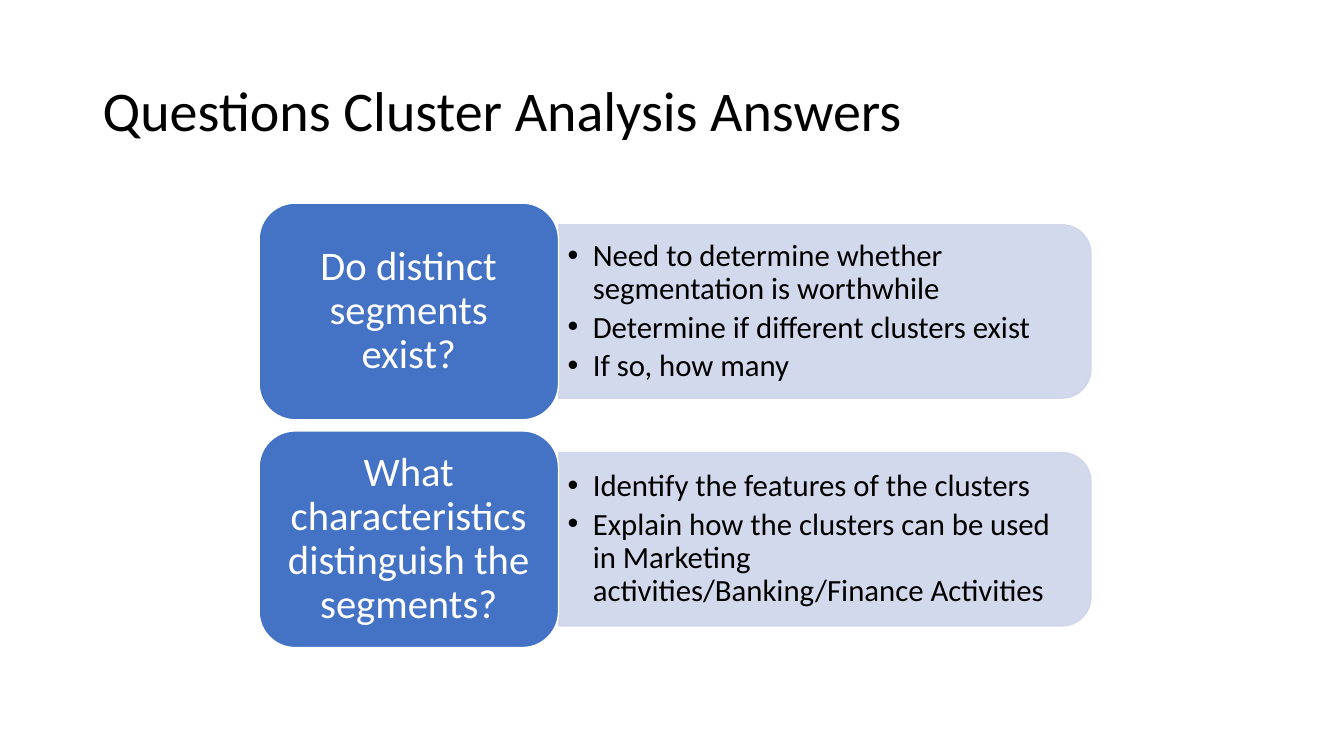
from dataclasses import dataclass

from lxml import etree
from pptx import Presentation
from pptx.dml.color import RGBColor
from pptx.enum.shapes import MSO_SHAPE
from pptx.enum.text import MSO_ANCHOR, PP_ALIGN
from pptx.oxml.ns import qn
from pptx.util import Inches, Pt

ROUNDED = MSO_SHAPE.ROUNDED_RECTANGLE
ROUNDED_TOP = MSO_SHAPE.ROUND_2_SAME_RECTANGLE
MIDDLE = MSO_ANCHOR.MIDDLE
CENTER = PP_ALIGN.CENTER

BLACK = RGBColor(0x00, 0x00, 0x00)
WHITE = RGBColor(0xFF, 0xFF, 0xFF)
BLUE = RGBColor(0x44, 0x72, 0xC4)
PALE_BLUE = RGBColor(0xCF, 0xD5, 0xEA)

FONT = "Calibri"
LINE_SPACING = 0.9
FIRST_ROW_CENTER, ROW_PITCH = 3.09, 2.26
QUESTION_LEFT, QUESTION_WIDTH, QUESTION_HEIGHT = 2.57, 2.97, 2.15
ANSWER_LEFT = QUESTION_LEFT + QUESTION_WIDTH
ANSWER_WIDTH, ANSWER_HEIGHT = 5.28, 1.72
ANSWER_TEXT_WIDTH, ANSWER_TEXT_HEIGHT = 5.2, 1.55


@dataclass(frozen=True)
class Topic:
    question: str
    answers: tuple[str, ...]


TOPICS = (
    Topic("Do distinct segments exist?", (
        "Need to determine whether segmentation is worthwhile",
        "Determine if different clusters exist",
        "If so, how many",
    )),
    Topic("What characteristics distinguish the segments?", (
        "Identify the features of the clusters",
        "Explain how the clusters can be used in Marketing "
        "activities/Banking/Finance Activities",
    )),
)


def prepare_frame(frame, side: float, end: float) -> None:
    """Wrap and centre the text vertically, with side and end insets in inches."""
    frame.word_wrap = True
    frame.vertical_anchor = MIDDLE
    frame.margin_left = frame.margin_right = Inches(side)
    frame.margin_top = frame.margin_bottom = Inches(end)


def style_paragraph(paragraph, size: float, color: RGBColor) -> None:
    paragraph.line_spacing = LINE_SPACING
    paragraph.font.name = FONT
    paragraph.font.size = Pt(size)
    paragraph.font.color.rgb = color


def add_bullet(paragraph) -> None:
    properties = paragraph._p.get_or_add_pPr()
    properties.set("marL", str(Inches(0.25)))
    properties.set("indent", str(Inches(-0.25)))
    etree.SubElement(properties, qn("a:buFont"), typeface="Arial")
    etree.SubElement(properties, qn("a:buChar"), char="•")


def set_opacity(fill_format, percent: int) -> None:
    color = fill_format._xPr.find(qn("a:solidFill"))[0]
    etree.SubElement(color, qn("a:alpha"), val=str(percent * 1000))


def add_panel(slide, kind, left: float, top: float, width: float, height: float,
              fill: RGBColor, outline: RGBColor):
    panel = slide.shapes.add_shape(
        kind, Inches(left), Inches(top), Inches(width), Inches(height))
    panel.shadow.inherit = False
    panel.fill.solid()
    panel.fill.fore_color.rgb = fill
    panel.line.color.rgb = outline
    panel.line.width = Pt(1)
    return panel


def add_title(slide, text: str) -> None:
    title = slide.shapes.add_textbox(
        Inches(0.92), Inches(0.4), Inches(11.5), Inches(1.45))
    prepare_frame(title.text_frame, 0.1, 0.05)
    paragraph = title.text_frame.paragraphs[0]
    paragraph.text = text
    style_paragraph(paragraph, 40, BLACK)


def add_answers(slide, answers: tuple[str, ...], center: float) -> None:
    # The panel is a quarter turn of an upright shape, so its sides swap.
    panel = add_panel(
        slide, ROUNDED_TOP,
        ANSWER_LEFT + (ANSWER_WIDTH - ANSWER_HEIGHT) / 2, center - ANSWER_WIDTH / 2,
        ANSWER_HEIGHT, ANSWER_WIDTH, PALE_BLUE, PALE_BLUE)
    panel.rotation = 90
    set_opacity(panel.fill, 90)
    set_opacity(panel.line.fill, 90)

    box = slide.shapes.add_textbox(
        Inches(ANSWER_LEFT), Inches(center - ANSWER_TEXT_HEIGHT / 2),
        Inches(ANSWER_TEXT_WIDTH), Inches(ANSWER_TEXT_HEIGHT))
    frame = box.text_frame
    prepare_frame(frame, 0.09, 0.05)
    for index, answer in enumerate(answers):
        paragraph = frame.add_paragraph() if index else frame.paragraphs[0]
        paragraph.text = answer
        add_bullet(paragraph)
        style_paragraph(paragraph, 22, BLACK)
        paragraph.space_after = Pt(3.6)


def add_question(slide, question: str, center: float) -> None:
    card = add_panel(
        slide, ROUNDED, QUESTION_LEFT, center - QUESTION_HEIGHT / 2,
        QUESTION_WIDTH, QUESTION_HEIGHT, BLUE, WHITE)
    prepare_frame(card.text_frame, 0.12, 0.06)
    paragraph = card.text_frame.paragraphs[0]
    paragraph.text = question
    paragraph.alignment = CENTER
    style_paragraph(paragraph, 29, WHITE)


def main() -> None:
    presentation = Presentation()
    presentation.slide_width = Inches(13.33)
    presentation.slide_height = Inches(7.5)
    slide = presentation.slides.add_slide(presentation.slide_layouts[6])

    add_title(slide, "Questions Cluster Analysis Answers")
    for row, topic in enumerate(TOPICS):
        center = FIRST_ROW_CENTER + row * ROW_PITCH
        add_answers(slide, topic.answers, center)
        add_question(slide, topic.question, center)

    presentation.save("out.pptx")


if __name__ == "__main__":
    main()
